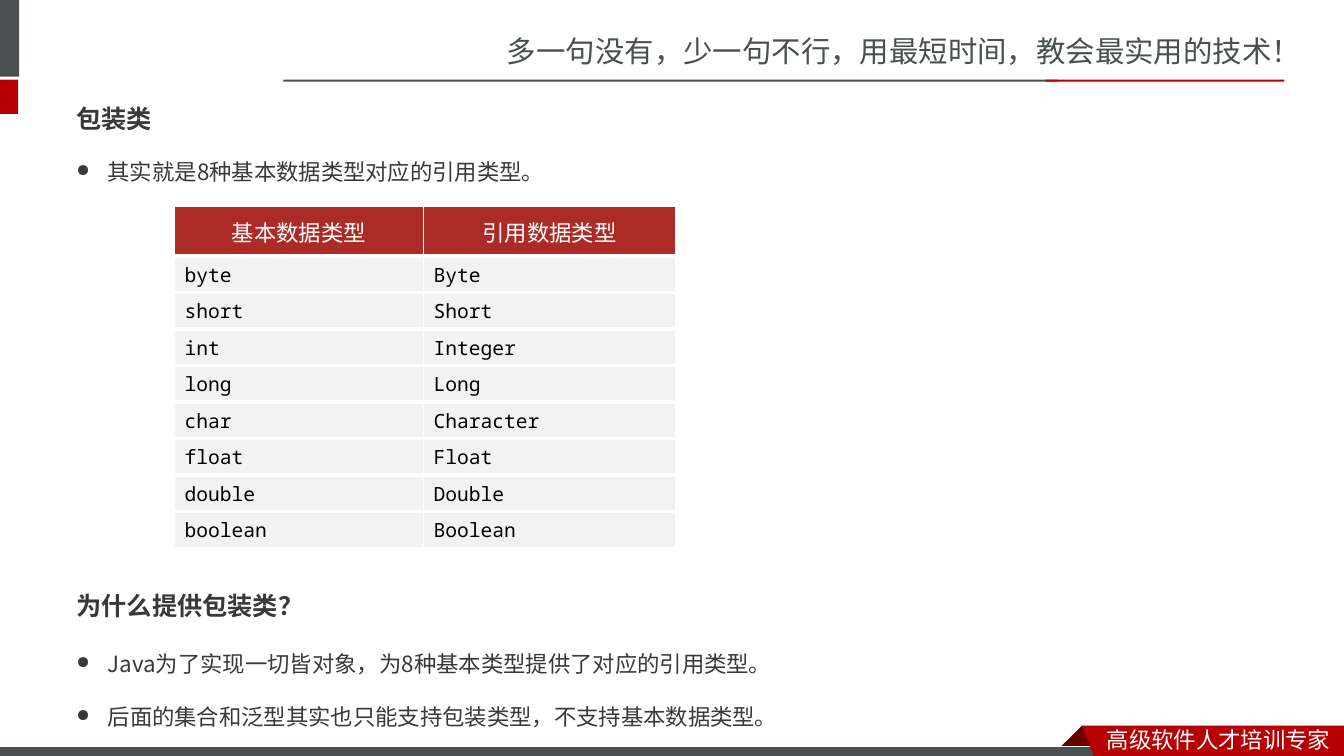
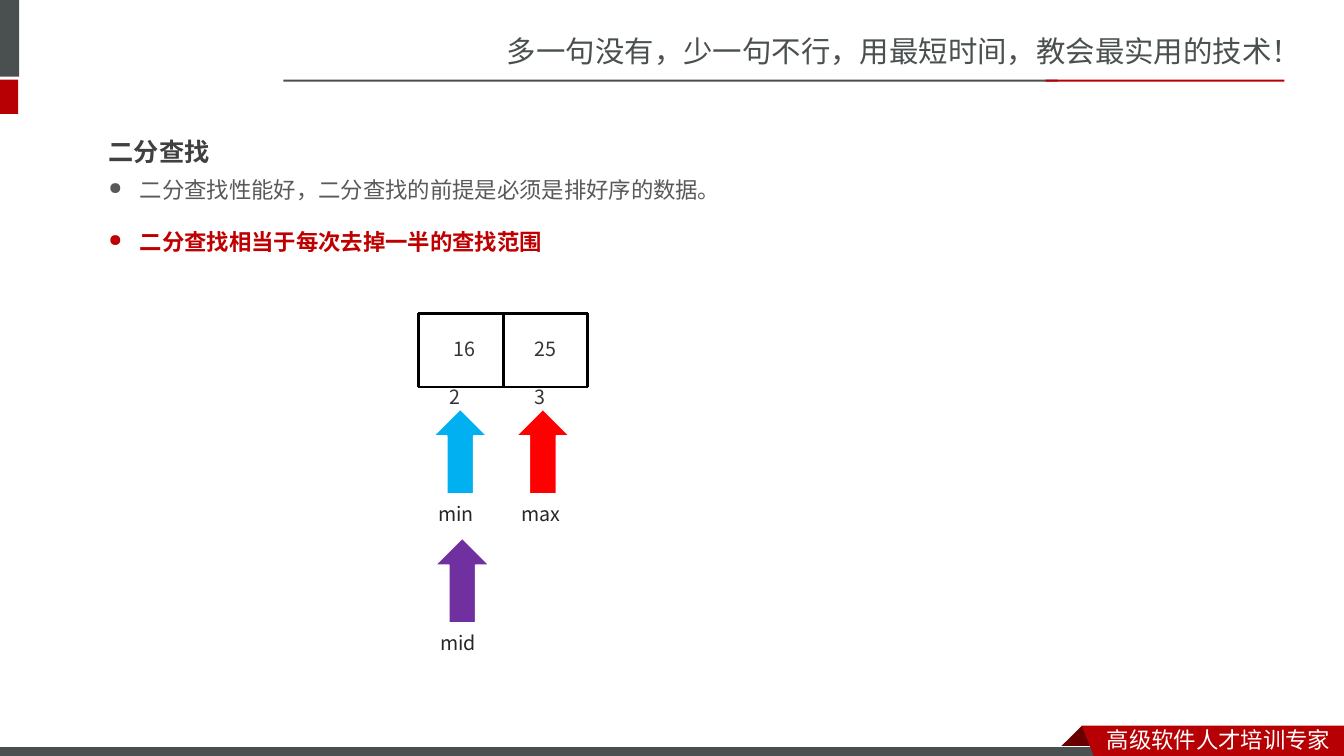
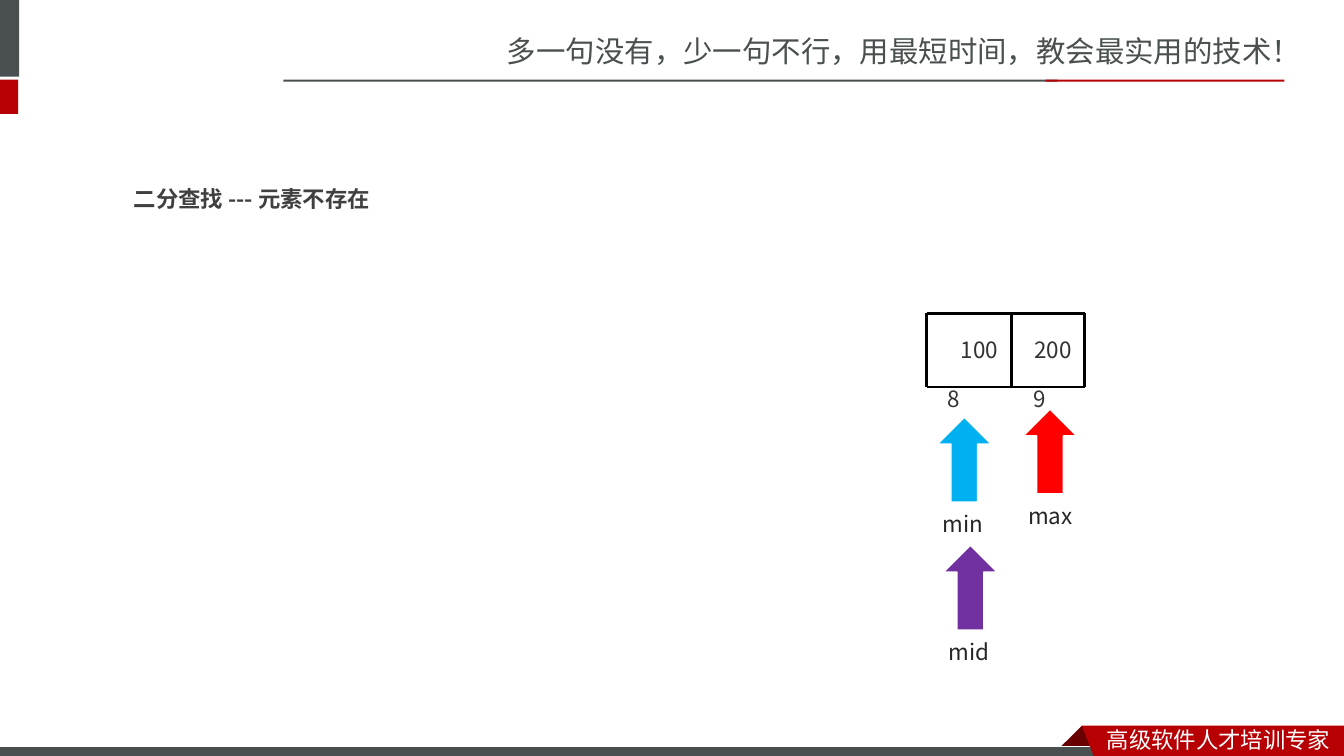
from dataclasses import dataclass

from lxml.etree import SubElement
from pptx import Presentation
from pptx.dml.color import RGBColor
from pptx.enum.shapes import MSO_CONNECTOR, MSO_SHAPE
from pptx.enum.text import MSO_ANCHOR, MSO_AUTO_SIZE, PP_ALIGN
from pptx.oxml import parse_xml
from pptx.oxml.ns import nsdecls, qn
from pptx.util import Inches, Pt

# Shared palette and fonts
GRAY, RED, DARK_RED, WHITE, BLACK = "49504F", "B60004", "680000", "FFFFFF", "000000"
BODY, HEADING, DIGIT, LABEL = "393939", "404040", "333333", "262626"
BLUE, BRIGHT_RED, PURPLE = "00B0F0", "FF0000", "7030A0"
SANS, SANS_JP, MONO, CALIBRI = ("Noto Sans CJK SC", "Noto Sans CJK JP",
                                "Noto Sans Mono", "Calibri")
ROW_TOP, ROW_BOTTOM = 3.11, 3.84
TABLE_HEIGHT, HEADER_HEIGHT = 3.39, 0.49


@dataclass
class Bar:
    left: float
    top: float
    width: float
    height: float
    color: str
    outlined: bool = False


@dataclass
class ArrayCell:
    left: float
    right: float
    value: str
    value_left: float
    index: str
    index_left: float


@dataclass
class Pointer:
    name: str
    color: str
    left: float
    top: float


BARS = [
    Bar(-0.06, 0, 0.25, 0.76, GRAY),
    Bar(-0.06, 0.79, 0.24, 0.34, RED),
    Bar(2.81, 0.79, 7.68, 0.02, GRAY),
    Bar(10.37, 0.79, 2.37, 0.02, RED),
]
FOOTER_BAR = Bar(-0.01, 7.41, 11, 0.12, GRAY, outlined=True)
FOLD = [(10.73, 7.2), (10.95, 7.42), (10.94, 7.43), (10.52, 7.43), (10.51, 7.42)]
RIBBON = [(10.73, 7.2), (13.33, 7.2), (13.33, 7.54), (10.86, 7.53)]

WRAPPERS = [("基本数据类型", "引用数据类型"), ("byte", "Byte"), ("short", "Short"),
            ("int", "Integer"), ("long", "Long"), ("char", "Character"),
            ("float", "Float"), ("double", "Double"), ("boolean", "Boolean")]


def rgb(color: str) -> RGBColor:
    return RGBColor.from_string(color)


# Text
def write(tf, text: str, *, size: float, color: str, font: str = SANS,
          bold: bool = False, bullet: bool = False, spacing=None, align=None) -> None:
    """Fill a text frame, one paragraph for each line of text."""
    for i, line in enumerate(text.split("\n")):
        p = tf.add_paragraph() if i else tf.paragraphs[0]
        p.alignment = align
        p.line_spacing = spacing
        if bullet:
            pPr = p._p.get_or_add_pPr()
            pPr.set("marL", str(Inches(0.31)))
            pPr.set("indent", str(Inches(-0.31)))
            SubElement(pPr, qn("a:buSzPct"), val="76000")
            SubElement(pPr, qn("a:buChar"), char="●")
        r = p.add_run()
        r.text = line
        r.font.size, r.font.name, r.font.bold = Pt(size), font, bold
        r.font.color.rgb = rgb(color)
        east_asian = font if "CJK" in font else SANS
        r.font._element.find(qn("a:latin")).addnext(
            parse_xml(f'<a:ea {nsdecls("a")} typeface="{east_asian}"/>'))


def add_text(s, text: str, left: float, top: float, width: float, height: float,
             *, wrap: bool = True, **fmt) -> None:
    tf = s.shapes.add_textbox(Inches(left), Inches(top),
                              Inches(width), Inches(height)).text_frame
    tf.word_wrap = wrap
    tf.auto_size = MSO_AUTO_SIZE.SHAPE_TO_FIT_TEXT
    write(tf, text, **fmt)


# Shapes
def paint(sp, color: str, line: str = "", weight: float = 1) -> None:
    sp.shadow.inherit = False
    sp.fill.solid()
    sp.fill.fore_color.rgb = rgb(color)
    if line:
        sp.line.color.rgb = rgb(line)
        sp.line.width = Pt(weight)
    else:
        sp.line.fill.background()


def add_bar(s, bar: Bar) -> None:
    sp = s.shapes.add_shape(MSO_SHAPE.RECTANGLE, Inches(bar.left), Inches(bar.top),
                            Inches(bar.width), Inches(bar.height))
    paint(sp, bar.color, WHITE if bar.outlined else "", 0.75)


def add_outline(s, points: list[tuple[float, float]], color: str) -> None:
    start, *rest = [(Inches(x), Inches(y)) for x, y in points]
    builder = s.shapes.build_freeform(*start)
    builder.add_line_segments(rest, close=True)
    paint(builder.convert_to_shape(), color)


def add_line(s, x1: float, y1: float, x2: float, y2: float) -> None:
    line = s.shapes.add_connector(MSO_CONNECTOR.STRAIGHT, Inches(x1), Inches(y1),
                                  Inches(x2), Inches(y2))
    line.line.color.rgb = rgb(BLACK)
    line.line.width = Pt(2)
    SubElement(line._element.spPr, qn("a:effectLst"))


# Slide frame: slogan, bars and footer ribbon
def add_framed_slide(prs):
    s = prs.slides.add_slide(prs.slide_layouts[6])
    add_text(s, "多一句没有，少一句不行，用最短时间，教会最实用的技术！",
             4.93, 0.28, 8.41, 0.47, size=21, color=GRAY)
    for bar in BARS:
        add_bar(s, bar)
    add_outline(s, FOLD, DARK_RED)
    add_bar(s, FOOTER_BAR)
    add_outline(s, RIBBON, RED)
    add_text(s, "高级软件人才培训专家", 10.88, 7.15, 2.45, 0.37, size=16, color=WHITE)
    return s


# Table
def set_borders(cell, top: float, bottom: float) -> None:
    tcPr = cell._tc.get_or_add_tcPr()
    for i, (side, weight) in enumerate(zip("LRTB", (1, 1, top, bottom))):
        tcPr.insert(i, parse_xml(
            f'<a:ln{side} {nsdecls("a")} w="{Pt(weight)}"><a:solidFill>'
            f'<a:srgbClr val="{WHITE}"/></a:solidFill></a:ln{side}>'))


def add_wrapper_table(s) -> None:
    last = len(WRAPPERS) - 1
    row_height = (TABLE_HEIGHT - HEADER_HEIGHT) / last
    table = s.shapes.add_table(len(WRAPPERS), 2, Inches(1.73), Inches(2.05),
                               Inches(4.97), Inches(TABLE_HEIGHT)).table
    table.first_row = table.horz_banding = False
    for column, width in zip(table.columns, (2.47, 2.5)):
        column.width = Inches(width)
    for i, names in enumerate(WRAPPERS):
        table.rows[i].height = Inches(row_height if i else HEADER_HEIGHT)
        for j, name in enumerate(names):
            cell = table.cell(i, j)
            cell.vertical_anchor = MSO_ANCHOR.MIDDLE
            cell.fill.solid()
            cell.fill.fore_color.rgb = rgb("F2F2F2" if i else "AD2B26")
            set_borders(cell, 3 if i else 1, 1 if i == last else 3)
            if i:
                write(cell.text_frame, name, size=14, color=BLACK, font=MONO)
            else:
                write(cell.text_frame, name, size=16, color=WHITE, font=MONO,
                      spacing=Pt(24), align=PP_ALIGN.CENTER)


# Binary search diagram
def add_tag(s, text: str, left: float, top: float, width: float,
            size: float, color: str) -> None:
    add_text(s, text, left, top, width, 0.34 if size == 14 else 0.37,
             wrap=False, size=size, color=color)


def add_search(s, cells: list[ArrayCell], pointers: list[Pointer], size: float) -> None:
    for y in (ROW_TOP, ROW_BOTTOM):
        for cell in cells:
            add_line(s, cell.left, y, cell.right, y)
    for x in [cells[0].left] + [cell.right for cell in cells]:
        add_line(s, x, ROW_TOP, x, ROW_BOTTOM)
    digit_width = size / 120
    for cell in cells:
        for text, left, top in ((cell.value, cell.value_left, 3.29),
                                (cell.index, cell.index_left, 3.77)):
            add_tag(s, text, left, top, 0.2 + len(text) * digit_width, size, DIGIT)
    label_width = 0.22 + size * 0.03  # room for the widest label
    for ptr in pointers:
        sp = s.shapes.add_shape(MSO_SHAPE.UP_ARROW, Inches(ptr.left), Inches(ptr.top),
                                Inches(0.53), Inches(0.84))
        paint(sp, ptr.color, WHITE)
        add_tag(s, ptr.name, ptr.left - 0.05, ptr.top + 0.87, label_width, size, LABEL)


# Slides
def wrapper_slide(prs) -> None:
    s = add_framed_slide(prs)
    for text, top in (("包装类", 0.98), ("为什么提供包装类？", 5.81)):
        add_text(s, text, 0.66, top, 6.67, 0.4, size=18, color=BODY,
                 font=SANS_JP, bold=True)
    add_text(s, "其实就是8种基本数据类型对应的引用类型。", 0.66, 1.52, 5.06, 0.37,
             size=16, color=BODY, font=SANS_JP, bullet=True)
    add_wrapper_table(s)
    add_text(s, "Java为了实现一切皆对象，为8种基本类型提供了对应的引用类型。\n"
                "后面的集合和泛型其实也只能支持包装类型，不支持基本数据类型。",
             0.66, 6.13, 7.28, 1.11, size=16, color=BODY, font=SANS_JP,
             bullet=True, spacing=2.0)


def search_slide(prs) -> None:
    s = add_framed_slide(prs)
    add_text(s, "二分查找", 0.98, 1.15, 5.12, 0.5, size=18, color=HEADING,
             bold=True, spacing=1.5)
    add_text(s, "二分查找性能好，二分查找的前提是必须是排好序的数据。",
             0.98, 1.7, 8.79, 0.37, size=16, color="595959", font=CALIBRI, bullet=True)
    add_text(s, "二分查找相当于每次去掉一半的查找范围", 0.98, 2.21, 4.56, 0.37,
             wrap=False, size=16, color="C00000", font=CALIBRI, bold=True, bullet=True)
    add_search(s, [ArrayCell(4.15, 4.99, "16", 4.4, "2", 4.36),
                   ArrayCell(4.99, 5.83, "25", 5.2, "3", 5.2)],
               [Pointer("min", BLUE, 4.3, 4.06),
                Pointer("max", BRIGHT_RED, 5.12, 4.06),
                Pointer("mid", PURPLE, 4.32, 5.34)], size=14)


def missing_slide(prs) -> None:
    s = add_framed_slide(prs)
    add_text(s, "二分查找 --- 元素不存在", 1.23, 1.65, 5.12, 0.46, size=16,
             color=HEADING, bold=True, spacing=1.5)
    add_search(s, [ArrayCell(9.19, 10.03, "100", 9.43, "8", 9.3),
                   ArrayCell(10.03, 10.76, "200", 10.16, "9", 10.15)],
               [Pointer("min", BLUE, 9.3, 4.14),
                Pointer("max", BRIGHT_RED, 10.15, 4.06),
                Pointer("mid", PURPLE, 9.36, 5.41)], size=16)


def main() -> None:
    prs = Presentation()
    prs.slide_width, prs.slide_height = Inches(13.33), Inches(7.5)
    wrapper_slide(prs)
    search_slide(prs)
    missing_slide(prs)
    prs.save("out.pptx")


if __name__ == "__main__":
    main()
